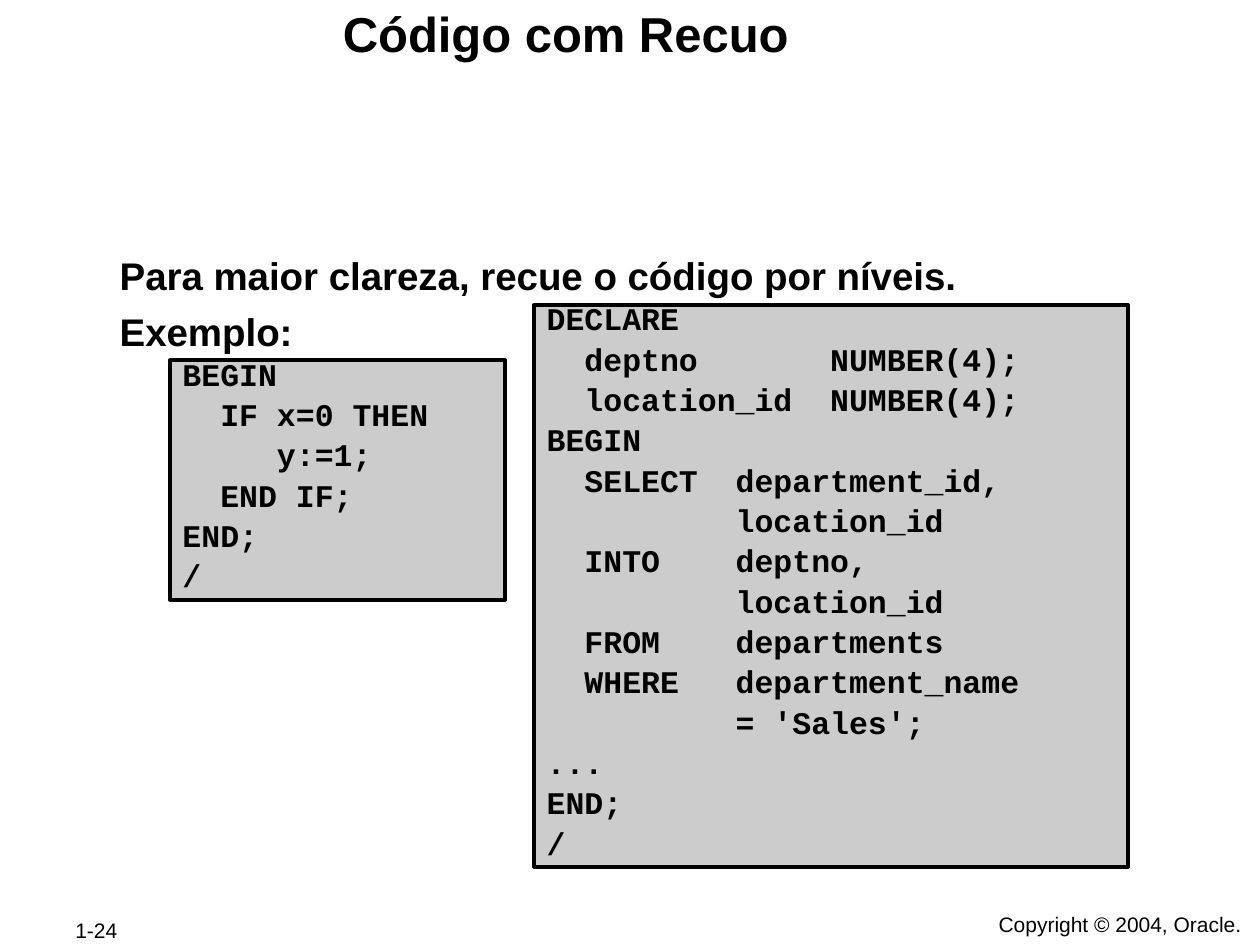
from dataclasses import dataclass

from lxml import etree
from pptx import Presentation
from pptx.dml.color import RGBColor
from pptx.enum import shapes, text
from pptx.oxml import ns
from pptx.util import Inches, Pt

HUES = {"ink": "000000", "code": "CCCCCC"}


@dataclass
class Box:
    left: float
    top: float
    width: float
    height: float

    def span(self) -> list:
        return [Inches(v) for v in (self.left, self.top, self.width, self.height)]


@dataclass
class Code:
    box: Box
    lines: str
    step: float


def hue(name: str) -> RGBColor:
    return RGBColor.from_string(HUES[name])


def write(shape, words: str, *, size=12, face="Arial", bold=False,
          align=text.PP_ALIGN.LEFT, anchor=text.MSO_ANCHOR.TOP, wrap=True,
          inset=(0.1, 0.05), gap=0, ratio=None, step=0) -> None:
    frame = shape.text_frame
    frame.word_wrap = wrap
    frame.auto_size = text.MSO_AUTO_SIZE.NONE
    frame.vertical_anchor = anchor
    side, top = inset
    frame.margin_left = frame.margin_right = Inches(side)
    frame.margin_top = frame.margin_bottom = Inches(top)
    for i, line in enumerate(words.split("\n")):
        para = frame.paragraphs[0] if i == 0 else frame.add_paragraph()
        para.alignment = align
        para.space_before = Pt(gap if i else 0)
        if ratio:
            para.line_spacing = ratio
        if step:
            stops = etree.SubElement(para._p.get_or_add_pPr(), ns.qn("a:tabLst"))
            for n in range(1, 8):
                etree.SubElement(stops, ns.qn("a:tab"),
                                 pos=str(Inches(n * step)), algn="l")
        run = para.add_run()
        run.text = line
        font = run.font
        font.size, font.name, font.bold = Pt(size), face, bold
        font.color.rgb = hue("ink")


def label(slide, box: Box, words: str, **form) -> None:
    write(slide.shapes.add_textbox(*box.span()), words, **form)


def panel(slide, code: Code) -> None:
    shape = slide.shapes.add_shape(shapes.MSO_SHAPE.RECTANGLE, *code.box.span())
    shape.shadow.inherit = False
    shape.fill.solid()
    shape.fill.fore_color.rgb = hue("code")
    shape.line.color.rgb = hue("ink")
    shape.line.width = Pt(2.25)
    write(shape, code.lines, size=18, face="Courier New", bold=True,
          gap=9, ratio=0.65, step=code.step)


CODES = [
    Code(Box(1.35, 2.86, 2.66, 1.9), """BEGIN
  IF x=0 THEN
     y:=1;
  END IF;
END;
/""", 1),
    Code(Box(4.24, 2.42, 4.71, 4.46), """DECLARE
  deptno       NUMBER(4);
  location_id  NUMBER(4);
BEGIN
  SELECT\tdepartment_id,
         \tlocation_id
  INTO\t\tdeptno,
\t\t\tlocation_id
  FROM\t\tdepartments
  WHERE\tdepartment_name
          = 'Sales';
...
END;
/""", 0.5),
]


def main() -> None:
    deck = Presentation()
    deck.slide_width, deck.slide_height = Inches(10), Inches(7.5)
    slide = deck.slides.add_slide(deck.slide_layouts[6])
    middle = text.MSO_ANCHOR.MIDDLE
    center = text.PP_ALIGN.CENTER
    label(slide, Box(0.5, 7.28, 1.06, 0.2), "1-24", anchor=middle, wrap=False)
    label(slide, Box(7.63, 7.19, 2.52, 0.28), "Copyright © 2004, Oracle.",
          align=center, anchor=middle, wrap=False)
    label(slide, Box(0.59, 0.02, 7.8, 0.65), "Código com Recuo",
          size=28, bold=True, align=center, inset=(0.01, 0.01))
    label(slide, Box(0.94, 1.99, 8.06, 0.84),
          "Para maior clareza, recue o código por níveis.\nExemplo:",
          size=22, bold=True, inset=(0.01, 0.01), gap=5.5)
    for code in CODES:
        panel(slide, code)
    deck.save("out.pptx")


if __name__ == "__main__":
    main()
